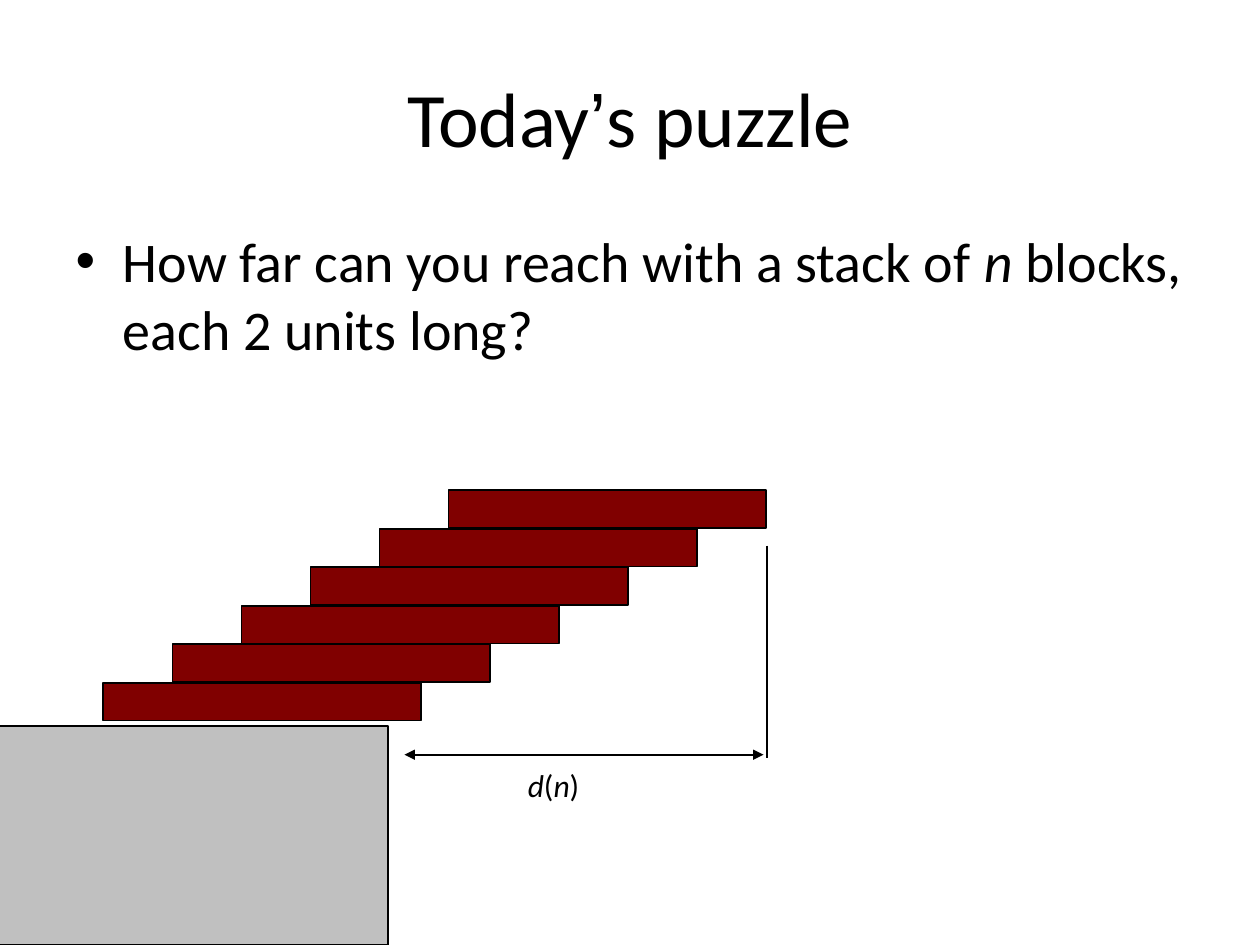
from lxml import etree
from pptx import Presentation
from pptx.dml.color import RGBColor
from pptx.enum.shapes import MSO_CONNECTOR, MSO_SHAPE
from pptx.enum.text import MSO_ANCHOR, PP_ALIGN
from pptx.oxml.ns import qn
from pptx.util import Inches, Pt

BLACK, TABLE_GREY, BLOCK_RED = "000000", "C0C0C0", "800000"
BLOCK_COUNT = 6


def rgb(color):
    return RGBColor.from_string(color)


def place(shape, box):
    shape.left, shape.top, shape.width, shape.height = map(Inches, box)


def add_runs(paragraph, parts, size):
    """Add (text, font, italic) parts as separate runs."""
    for text, font, italic in parts:
        run = paragraph.add_run()
        run.text = text
        run.font.name = font
        run.font.size = Pt(size)
        run.font.italic = italic
        run.font.color.rgb = rgb(BLACK)


def add_rect(slide, box, fill):
    rect = slide.shapes.add_shape(MSO_SHAPE.RECTANGLE, *map(Inches, box))
    rect.shadow.inherit = False
    rect.fill.solid()
    rect.fill.fore_color.rgb = rgb(fill)
    rect.line.color.rgb = rgb(BLACK)
    rect.line.width = Pt(1)


def add_line(slide, start, end, arrows=False):
    line = slide.shapes.add_connector(
        MSO_CONNECTOR.STRAIGHT, *map(Inches, (*start, *end)))
    line.line.color.rgb = rgb(BLACK)
    line.line.width = Pt(1)
    if arrows:
        outline = line.line._get_or_add_ln()
        for tag in ("a:headEnd", "a:tailEnd"):
            etree.SubElement(outline, qn(tag), type="triangle")
    etree.SubElement(line._element.spPr, qn("a:effectLst"))


def add_title(slide, box):
    title = slide.shapes.title
    place(title, box)
    title.text_frame.vertical_anchor = MSO_ANCHOR.MIDDLE
    paragraph = title.text_frame.paragraphs[0]
    paragraph.alignment = PP_ALIGN.CENTER
    add_runs(paragraph, [("Today", "Calibri", False), ("’", "Arial", False),
                         ("s puzzle", "Calibri", False)], 44)


def add_question(slide, box):
    question = slide.placeholders[1]
    place(question, box)
    add_runs(question.text_frame.paragraphs[0],
             [("How far can you reach with a stack of ", "Calibri", False),
              ("n", "Calibri", True),
              (" blocks, each 2 units long?", "Calibri", False)], 32)


def add_stack(slide, box):
    """Fill the box with equal blocks, stepping up from lower left to upper right."""
    left, top, width, height = box
    block_width, block_height = 2.52, 0.3
    overhang = (width - block_width) / (BLOCK_COUNT - 1)
    rise = (height - block_height) / (BLOCK_COUNT - 1)
    bottom_top = top + height - block_height
    for level in range(BLOCK_COUNT):
        add_rect(slide, (left + level * overhang, bottom_top - level * rise,
                         block_width, block_height), BLOCK_RED)


def add_reach(slide, box):
    """Mark the reach d(n): drop line at the right, arrow and label below."""
    left, top, width, height = box
    right, arrow_y = left + width, top + 1.66
    add_line(slide, (right, top), (right, top + 1.69))
    add_line(slide, (left, arrow_y), (right - 0.03, arrow_y), arrows=True)
    label = slide.shapes.add_textbox(
        *map(Inches, (left + 0.88, top + height - 0.5, 1.05, 0.5)))
    label.text_frame.word_wrap = True
    add_runs(label.text_frame.paragraphs[0],
             [("d", "Calibri", True), ("(", "Calibri", False),
              ("n", "Calibri", True), (")", "Calibri", False)], 18)


def main():
    deck = Presentation()
    deck.slide_width, deck.slide_height = Inches(10), Inches(7.5)
    slide = deck.slides.add_slide(deck.slide_layouts.get_by_name("Title and Content"))
    add_title(slide, (0.5, 0.3, 9, 1.25))
    add_question(slide, (0.5, 1.75, 9, 4.95))
    add_rect(slide, (-0.03, 5.76, 3.11, 1.74), TABLE_GREY)
    add_stack(slide, (0.82, 3.89, 5.26, 1.83))
    add_reach(slide, (3.21, 4.33, 2.88, 2.2))
    deck.save("out.pptx")


if __name__ == "__main__":
    main()
